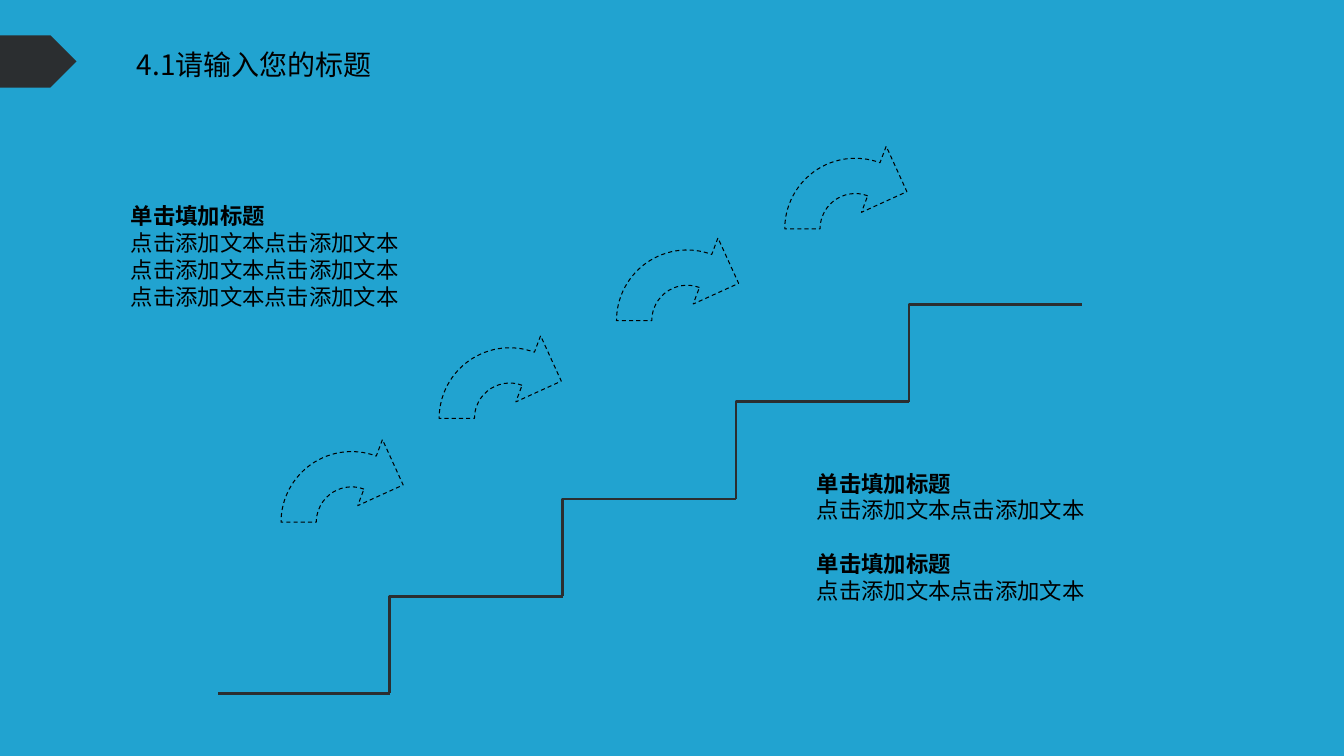
from math import cos, radians, sin

from lxml.etree import SubElement
from pptx import Presentation
from pptx.dml.color import RGBColor
from pptx.enum.dml import MSO_LINE
from pptx.enum.shapes import MSO_CONNECTOR, MSO_SHAPE
from pptx.oxml.ns import qn
from pptx.util import Inches, Pt

BACKGROUND, DARK, BLACK = "21A3D0", "2B2E30", "000000"
FONT = "Noto Sans CJK SC"
HEADING = "单击填加标题"
BODY = "点击添加文本点击添加文本"


def color(value):
    return RGBColor.from_string(value)


class StairSlide:
    """Draws styled elements on the current slide."""

    def __init__(self, presentation):
        self.slide = presentation.slides.add_slide(presentation.slide_layouts[6])
        self.shapes = self.slide.shapes
        fill = self.slide.background.fill
        fill.solid()
        fill.fore_color.rgb = color(BACKGROUND)

    def text(self, left, top, width, height, lines, size, line_height):
        frame = self.shapes.add_textbox(
            Inches(left), Inches(top), Inches(width), Inches(height)).text_frame
        frame.word_wrap = True
        for index, (content, bold, space_before) in enumerate(lines):
            paragraph = frame.add_paragraph() if index else frame.paragraphs[0]
            paragraph.line_spacing = Pt(line_height)
            paragraph.space_before = Pt(space_before)
            run = paragraph.add_run()
            run.text = content
            run.font.size = Pt(size)
            run.font.bold = bold
            run.font.name = FONT
            run.font.color.rgb = color(BLACK)
            SubElement(run._r.get_or_add_rPr(), qn("a:ea"), typeface=FONT)

    def outline(self, points, line_color, width, closed=False):
        points = [(Inches(x), Inches(y)) for x, y in points]
        builder = self.shapes.build_freeform(*points[0])
        builder.add_line_segments(points[1:], close=closed)
        shape = builder.convert_to_shape()
        shape.shadow.inherit = False
        shape.fill.background()
        shape.line.color.rgb = color(line_color)
        shape.line.width = Pt(width)
        return shape

    def line(self, start_x, start_y, end_x, end_y, line_color, width):
        connector = self.shapes.add_connector(
            MSO_CONNECTOR.STRAIGHT,
            Inches(start_x), Inches(start_y), Inches(end_x), Inches(end_y))
        connector.line.color.rgb = color(line_color)
        connector.line.width = Pt(width)
        SubElement(connector._element.spPr, qn("a:effectLst"))

    def curved_arrow(self, left, top):
        size, sweep, rotation = 1.4, 110.5, 290.5
        right, bottom = left + size, top + size
        shape = self.outline(
            [(left, top), (right, top), (right, bottom), (left, bottom)],
            BLACK, 0.75, closed=True)
        shape.line.dash_style = MSO_LINE.DASH
        shape.rotation = rotation

        outer, inner = Inches(size / 2), Inches(size / 4)
        path = next(shape._element.iter(qn("a:path")))
        for child in list(path):
            path.remove(child)

        def point(tag, x, y):
            SubElement(SubElement(path, qn(tag)), qn("a:pt"),
                       x=str(round(outer + x * outer)), y=str(round(outer + y * outer)))

        def arc(radius, start, swing):
            SubElement(path, qn("a:arcTo"), wR=str(radius), hR=str(radius),
                       stAng=str(round(start * 60000)), swAng=str(round(swing * 60000)))

        point("a:moveTo", 0.5, 0)
        arc(inner, 0, -sweep)
        point("a:lnTo", cos(radians(sweep)), -sin(radians(sweep)))
        arc(outer, 360 - sweep, sweep)
        for x, y in [(1.25, 0), (0.75, 0.5), (0.25, 0)]:
            point("a:lnTo", x, y)
        SubElement(path, qn("a:close"))

    def pentagon(self, left, top, width, height, fill_color):
        shape = self.shapes.add_shape(
            MSO_SHAPE.PENTAGON,
            Inches(left), Inches(top), Inches(width), Inches(height))
        shape.shadow.inherit = False
        shape.adjustments[0] = 0.5
        shape.fill.solid()
        shape.fill.fore_color.rgb = color(fill_color)
        shape.line.fill.background()


def main():
    presentation = Presentation()
    presentation.slide_width = Inches(13.34)
    presentation.slide_height = Inches(7.5)
    slide = StairSlide(presentation)

    heading, body = (HEADING, True, 0), (BODY, False, 0)
    slide.text(1.2, 1.96, 3.11, 1.18, [heading] + [body] * 3, 16, 19.2)
    slide.text(8.01, 4.61, 4.1, 1.45,
               [heading, body, (HEADING, True, 19.2), body], 16, 19.2)

    stairs_left, stairs_bottom, step_count = 3.87, 6.88, 4
    step_width = (10.74 - stairs_left) / step_count
    step_height = (stairs_bottom - 3.02) / step_count
    for step in range(step_count):
        x = stairs_left + step * step_width
        y = stairs_bottom - step * step_height
        slide.outline([(x, y), (x, y - step_height), (x + step_width, y - step_height)],
                      DARK, 2)
    slide.line(stairs_left, stairs_bottom, 2.16, stairs_bottom, DARK, 2)

    for corner in [(4.36, 3.45), (6.12, 2.48), (7.79, 1.57), (2.79, 4.48)]:
        slide.curved_arrow(*corner)

    slide.text(1.26, 0.42, 2.56, 0.44, [("4.1请输入您的标题", False, 0)], 20, 24.5)
    slide.pentagon(0, 0.35, 0.76, 0.52, DARK)
    presentation.save("out.pptx")


if __name__ == "__main__":
    main()
